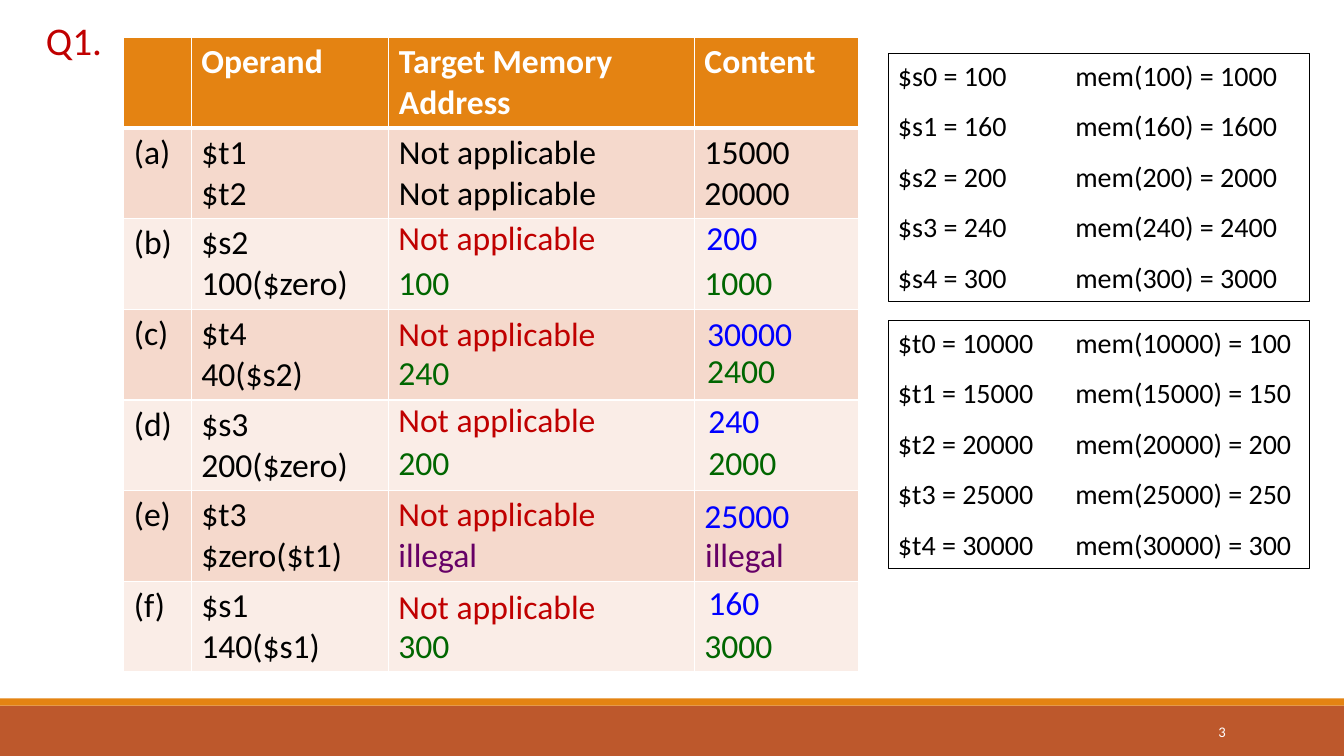
from dataclasses import dataclass

import pptx
import pptx.dml.color
import pptx.enum.shapes
import pptx.enum.text
import pptx.oxml.ns
import pptx.util
from lxml import etree

Cm = pptx.util.Cm
Pt = pptx.util.Pt
Align = pptx.enum.text.PP_ALIGN
Anchor = pptx.enum.text.MSO_ANCHOR
qn = pptx.oxml.ns.qn


@dataclass(frozen=True)
class Theme:
    font: str = "Calibri"
    black: str = "000000"
    white: str = "FFFFFF"
    orange: str = "E48312"
    rust: str = "BD582C"
    bands: tuple = ("F5D9CC", "FAEDE7")
    red: str = "C00000"
    blue: str = "0000FF"
    green: str = "006600"
    purple: str = "660066"
    title_size: float = 28
    table_size: float = 24
    register_size: float = 20
    number_size: float = 10.5


THEME = Theme()
HEADINGS = ("", "Operand", "Target Memory Address", "Content")
QUESTIONS = (
    ("(a)", "$t1\n$t2", "Not applicable\nNot applicable", "15000\n20000"),
    ("(b)", "$s2\n100($zero)", "", ""),
    ("(c)", "$t4\n40($s2)", "", ""),
    ("(d)", "$s3\n200($zero)", "", ""),
    ("(e)", "$t3\n$zero($t1)", "", ""),
    ("(f)", "$s1\n140($s1)", "", ""),
)
COLUMN_WIDTHS = (1.7, 4.98, 7.7, 4.14)
ADDRESS_X = 6.67
REGISTER_ANSWERS = (
    ("200", 4.39, 14.43, 4.39),
    ("30000", 6.81, 14.45, 6.81),
    ("240", 8.99, 14.48, 9.02),
    ("25000", 11.35, 14.38, 11.4),
    ("160", 13.69, 14.48, 13.61),
)
MEMORY_ANSWERS = (
    ("100", "1000", THEME.green, 5.54, 14.38, 5.54),
    ("240", "2400", THEME.green, 7.8, 14.45, 7.75),
    ("200", "2000", THEME.green, 10.08, 14.48, 10.08),
    ("illegal", "illegal", THEME.purple, 12.4, 14.4, 12.4),
    ("300", "3000", THEME.green, 14.68, 14.38, 14.68),
)
SAVED_REGISTERS = [
    (f"$s{index}", value, value * 10)
    for index, value in enumerate((100, 160, 200, 240, 300))
]
TEMPORARY_REGISTERS = [
    (f"$t{index}", value, value // 100)
    for index, value in enumerate(range(10000, 30001, 5000))
]


def colour(code):
    return pptx.dml.color.RGBColor.from_string(code)


def write_lines(frame, lines, size, code, bold=False, align=Align.LEFT):
    for index, line in enumerate(lines):
        paragraph = frame.paragraphs[0] if index == 0 else frame.add_paragraph()
        paragraph.alignment = align
        run = paragraph.add_run()
        run.text = line
        run.font.name = THEME.font
        run.font.size = Pt(size)
        run.font.bold = bold
        run.font.color.rgb = colour(code)


def add_label(slide, box, text, size, code, align=Align.LEFT, grow=True):
    frame = slide.shapes.add_textbox(*map(Cm, box)).text_frame
    frame.word_wrap = True
    if grow:
        frame.auto_size = pptx.enum.text.MSO_AUTO_SIZE.SHAPE_TO_FIT_TEXT
    else:
        frame.vertical_anchor = Anchor.MIDDLE
    write_lines(frame, [text], size, code, align=align)


def add_rectangle(slide, box):
    rectangle = pptx.enum.shapes.MSO_SHAPE.RECTANGLE
    shape = slide.shapes.add_shape(rectangle, *map(Cm, box))
    shape.shadow.inherit = False
    return shape


def add_footer(slide, box):
    left, top, width, height = box
    stripe = 0.18
    bars = (
        (top + stripe, height - stripe, THEME.rust),
        (top, stripe, THEME.orange),
    )
    for bar_top, bar_height, code in bars:
        bar = add_rectangle(slide, (left, bar_top, width, bar_height))
        bar.fill.solid()
        bar.fill.fore_color.rgb = colour(code)
        bar.line.fill.background()
    number_box = (left + 27.51, top + 0.33, 3.63, 1.02)
    add_label(slide, number_box, "3", THEME.number_size, THEME.white,
              Align.RIGHT, grow=False)


def add_registers(slide, box, registers):
    shape = add_rectangle(slide, box)
    shape.fill.background()
    shape.line.color.rgb = colour(THEME.black)
    shape.line.width = Pt(0.75)
    frame = shape.text_frame
    frame.word_wrap = True
    frame.auto_size = pptx.enum.text.MSO_AUTO_SIZE.SHAPE_TO_FIT_TEXT
    frame.vertical_anchor = Anchor.TOP
    lines = [f"{name} = {value}\tmem({value}) = {stored}"
             for name, value, stored in registers]
    write_lines(frame, lines, THEME.register_size, THEME.black)
    for paragraph in frame.paragraphs:
        paragraph.space_after = Pt(12)
        properties = paragraph._p.get_or_add_pPr()
        tabs = etree.SubElement(properties, qn("a:tabLst"))
        etree.SubElement(tabs, qn("a:tab"), pos=str(Cm(4.47)), algn="l")


def set_borders(cell, widths):
    properties = cell._tc.get_or_add_tcPr()
    for index, (side, width) in enumerate(zip("LRTB", widths)):
        border = etree.Element(qn(f"a:ln{side}"), w=str(Pt(width)))
        fill = etree.SubElement(border, qn("a:solidFill"))
        etree.SubElement(fill, qn("a:srgbClr"), val=THEME.white)
        properties.insert(index, border)


def add_question_table(slide, box):
    rows = (HEADINGS,) + QUESTIONS
    frame = slide.shapes.add_table(len(rows), len(HEADINGS), *map(Cm, box))
    table = frame.table
    for column, width in zip(table.columns, COLUMN_WIDTHS):
        column.width = Cm(width)
    for row_index, texts in enumerate(rows):
        header = row_index == 0
        table.rows[row_index].height = Cm(box[3] / len(rows))
        fill = THEME.orange if header else THEME.bands[(row_index - 1) % 2]
        text_colour = THEME.white if header else THEME.black
        for column_index, text in enumerate(texts):
            cell = table.cell(row_index, column_index)
            cell.margin_top = Cm(0.11)
            cell.margin_bottom = Cm(0.1)
            cell.fill.solid()
            cell.fill.fore_color.rgb = colour(fill)
            top_width = 3 if row_index == 1 else 1
            set_borders(cell, (1, 1, top_width, 3 if header else 1))
            if text:
                write_lines(cell.text_frame, text.split("\n"),
                            THEME.table_size, text_colour, bold=header)


def add_answers(slide, box):
    left, top = box[:2]

    def add_answer(text, x, y, width, code):
        add_label(slide, (left + x, top + y, width, 1.27), text,
                  THEME.table_size, code)

    for content, address_y, content_x, content_y in REGISTER_ANSWERS:
        add_answer("Not applicable", ADDRESS_X, address_y, 6.35, THEME.red)
        add_answer(content, content_x, content_y, 3.33, THEME.blue)
    for address, content, code, address_y, content_x, content_y in MEMORY_ANSWERS:
        add_answer(address, ADDRESS_X, address_y, 2.67, code)
        add_answer(content, content_x, content_y, 2.67, code)


def main():
    presentation = pptx.Presentation()
    presentation.slide_width = Cm(33.87)
    presentation.slide_height = Cm(19.05)
    slide = presentation.slides.add_slide(presentation.slide_layouts[6])
    table_box = (3.12, 0.94, sum(COLUMN_WIDTHS), 16)
    add_footer(slide, (0, 17.6, 33.87, 1.45))
    add_label(slide, (0.61, 0.28, 2.51, 1.45), "Q1.", THEME.title_size,
              THEME.red, Align.CENTER)
    add_question_table(slide, table_box)
    add_registers(slide, (22.38, 1.35, 10.62, 6.25), SAVED_REGISTERS)
    add_registers(slide, (22.38, 8.08, 10.62, 6.25), TEMPORARY_REGISTERS)
    add_answers(slide, table_box)
    presentation.save("out.pptx")


if __name__ == "__main__":
    main()
